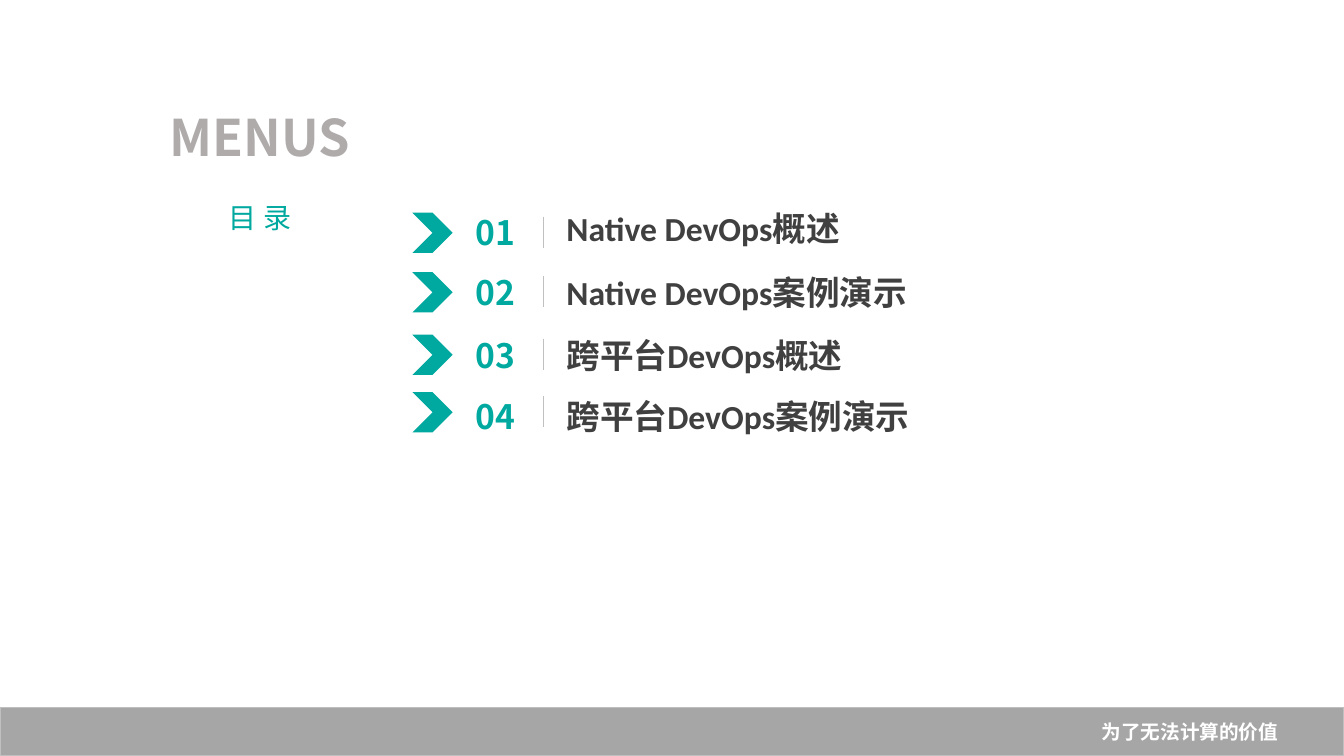
from lxml.etree import SubElement
from pptx import Presentation
from pptx.dml.color import RGBColor
from pptx.enum.shapes import MSO_CONNECTOR as Connector, MSO_SHAPE as Shape
from pptx.enum.text import MSO_ANCHOR as Anchor, PP_ALIGN as Align
from pptx.oxml.ns import qn
from pptx.util import Inches, Pt

COLORS = {
    "teal": "00A99F", "heading": "AFABAB", "label": "404040", "divider": "C0C0C0",
    "footer": "A6A6A6", "footer_edge": "BFBFBF", "white": "FFFFFF",
}
CJK_FONT, LATIN_FONT = "Noto Sans CJK SC", "Calibri"


def color(name):
    return RGBColor.from_string(COLORS[name])


def write(shape, text, size, fill, font=CJK_FONT, bold=True, align=Align.CENTER, spacing=1.0):
    frame = shape.text_frame
    frame.word_wrap = True
    frame.vertical_anchor = Anchor.MIDDLE
    paragraph = frame.paragraphs[0]
    paragraph.alignment = align
    paragraph.line_spacing = spacing
    run = paragraph.add_run()
    run.text = text
    run.font.size = Pt(size)
    run.font.bold = bold
    run.font.name = font
    run.font.color.rgb = color(fill)
    SubElement(run.font._element, qn("a:ea"), typeface=CJK_FONT)


presentation = Presentation()
presentation.slide_width = Inches(13.33)
presentation.slide_height = Inches(7.5)
slide = presentation.slides.add_slide(presentation.slide_layouts[6])
shapes = slide.shapes

# Headings
heading = shapes.add_textbox(Inches(0.75), Inches(0.93), Inches(3.66), Inches(0.84))
write(heading, "MENUS", 36, "heading")
subtitle = shapes.add_textbox(Inches(1.54), Inches(1.7), Inches(2.08), Inches(0.95))
write(subtitle, "目 录", 20, "teal", bold=False, spacing=0.9)

# Menu columns
CHEVRON_LEFT, CHEVRON_SIZE = Inches(4.09), Inches(0.4)
NUMBER_LEFT, NUMBER_WIDTH = Inches(4.49), Inches(0.84)
DIVIDER_LEFT, DIVIDER_HEIGHT, DIVIDER_DROP = Inches(5.39), Inches(0.31), Inches(0.04)
LABEL_LEFT, LABEL_WIDTH = Inches(5.52), Inches(4.38)
ROW_HEIGHT = Inches(0.79)

# Label, then the tops of its chevron, number and label
menu = [
    ("Native DevOps概述", 2.11, 1.91, 1.87),
    ("Native DevOps案例演示", 2.7, 2.5, 2.5),
    ("跨平台DevOps概述", 3.32, 3.13, 3.13),
    ("跨平台DevOps案例演示", 3.89, 3.73, 3.73),
]
for index, (text, chevron_top, number_top, label_top) in enumerate(menu, start=1):
    chevron = shapes.add_shape(
        Shape.CHEVRON, CHEVRON_LEFT, Inches(chevron_top), CHEVRON_SIZE, CHEVRON_SIZE)
    chevron.shadow.inherit = False
    chevron.fill.solid()
    chevron.fill.fore_color.rgb = color("teal")
    chevron.line.fill.background()

    number = shapes.add_textbox(NUMBER_LEFT, Inches(number_top), NUMBER_WIDTH, ROW_HEIGHT)
    write(number, f"{index:02}", 24, "teal")

    divider_top = Inches(chevron_top) + DIVIDER_DROP
    divider = shapes.add_connector(
        Connector.STRAIGHT, DIVIDER_LEFT, divider_top, DIVIDER_LEFT, divider_top + DIVIDER_HEIGHT)
    divider.line.color.rgb = color("divider")
    divider.line.width = Pt(0.5)
    SubElement(divider._element.spPr, qn("a:effectLst"))

    label = shapes.add_textbox(LABEL_LEFT, Inches(label_top), LABEL_WIDTH, ROW_HEIGHT)
    write(label, text, 24, "label", font=LATIN_FONT, align=Align.LEFT)

# Footer
footer = shapes.add_shape(
    Shape.RECTANGLE, 0, Inches(7.02), presentation.slide_width, Inches(0.48))
footer.shadow.inherit = False
footer.fill.solid()
footer.fill.fore_color.rgb = color("footer")
footer.line.color.rgb = color("footer_edge")
footer.line.width = Pt(1)
footer.text_frame.margin_right = Inches(0.65)
write(footer, "为了无法计算的价值", 14, "white", font=LATIN_FONT, align=Align.RIGHT)

presentation.save("out.pptx")
